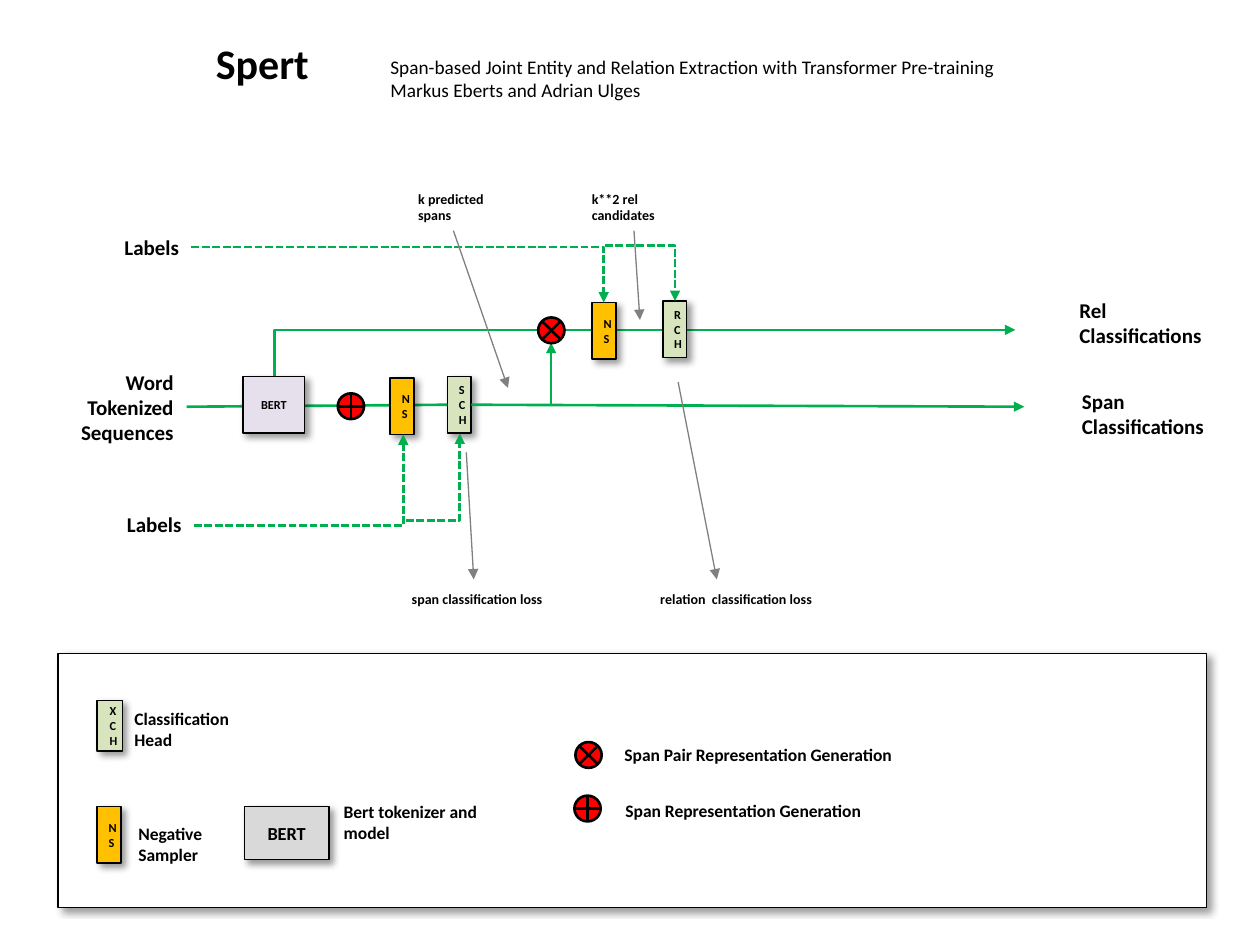
from dataclasses import dataclass

from lxml import etree
from pptx import Presentation
from pptx.dml.color import RGBColor
from pptx.enum.dml import MSO_LINE
from pptx.enum.shapes import MSO_CONNECTOR, MSO_SHAPE
from pptx.enum.text import MSO_ANCHOR, MSO_AUTO_SIZE, PP_ALIGN
from pptx.oxml.ns import qn
from pptx.util import Cm, Pt

RECT = MSO_SHAPE.RECTANGLE
OR = MSO_SHAPE.FLOWCHART_OR
SUMMING = MSO_SHAPE.FLOWCHART_SUMMING_JUNCTION
STRAIGHT, ELBOW = MSO_CONNECTOR.STRAIGHT, MSO_CONNECTOR.ELBOW
DASH = MSO_LINE.SQUARE_DOT
LEFT, CENTER, RIGHT = PP_ALIGN.LEFT, PP_ALIGN.CENTER, PP_ALIGN.RIGHT
MIDDLE = MSO_ANCHOR.MIDDLE
FIT = MSO_AUTO_SIZE.SHAPE_TO_FIT_TEXT
SIDE_LEFT, SIDE_RIGHT = 1, 3


@dataclass(frozen=True)
class Theme:
    font: str = "Calibri"
    black: str = "000000"
    white: str = "FFFFFF"
    flow: str = "00B050"
    note: str = "808080"
    junction: str = "FF0000"
    sampler: str = "FFC000"
    head: str = "D7E4BD"
    encoder: str = "E6E0EC"
    encoder_key: str = "D9D9D9"
    title: float = 24
    label: float = 12
    subtitle: float = 11
    key_box: float = 10.5
    key: float = 10
    small: float = 8
    box: float = 7


T = Theme()
NARROW = (0.48, 1.14)


def apply(obj, values):
    for name, value in values.items():
        setattr(obj, name, value)


def write(tf, text, size, align, bold=True):
    tf.word_wrap = True
    for i, line in enumerate(text.split("\n")):
        p = tf.add_paragraph() if i else tf.paragraphs[0]
        p.alignment = align
        r = p.add_run()
        r.text = line
        apply(r.font, {"name": T.font, "size": Pt(size), "bold": bold})
        r.font.color.rgb = RGBColor.from_string(T.black)


def add_label(s, text, x, y, w, h, size, align=LEFT, bold=True):
    tf = s.shapes.add_textbox(Cm(x), Cm(y), Cm(w), Cm(h)).text_frame
    write(tf, text, size, align, bold)
    tf.auto_size = FIT


def add_filled(s, kind, x, y, w, h, fill, width):
    sp = s.shapes.add_shape(kind, Cm(x), Cm(y), Cm(w), Cm(h))
    sp.shadow.inherit = False
    sp.fill.solid()
    sp.fill.fore_color.rgb = RGBColor.from_string(fill)
    sp.line.color.rgb = RGBColor.from_string(T.black)
    sp.line.width = Pt(width)
    return sp


def add_box(s, text, x, y, w, h, fill, size=T.box, width=1):
    sp = add_filled(s, RECT, x, y, w, h, fill, width)
    effects = sp._element.spPr.find(qn("a:effectLst"))
    shadow = etree.SubElement(effects, qn("a:outerShdw"), blurRad=str(Pt(4)),
                              dist=str(Pt(3)), dir="2700000", algn="tl", rotWithShape="0")
    color = etree.SubElement(shadow, qn("a:srgbClr"), val=T.black)
    etree.SubElement(color, qn("a:alpha"), val="40000")
    if text:
        sp.text_frame.vertical_anchor = MIDDLE
        write(sp.text_frame, text, size, CENTER)
    return sp


def add_junction(s, kind, x, y):
    add_filled(s, kind, x, y, 0.53, 0.52, T.junction, 1.5)


def add_line(s, start, end, color=T.flow, width=1.5, kind=STRAIGHT, dash=None, arrow="tailEnd"):
    c = s.shapes.add_connector(kind, *(Cm(v) for v in (*start, *end)))
    apply(c.line, {"width": Pt(width), "dash_style": dash})
    c.line.color.rgb = RGBColor.from_string(color)
    pr = c._element.spPr
    if kind == ELBOW:
        pr.find(qn("a:prstGeom")).set("prst", "bentConnector2")
    if arrow:
        etree.SubElement(pr.find(qn("a:ln")), qn(f"a:{arrow}"), type="triangle")
    etree.SubElement(pr, qn("a:effectLst"))
    return c


def add_heading(s):
    add_label(s, " Spert", 3.91, 0.64, 18.42, 1.27, T.title)
    add_label(s, "Span-based Joint Entity and Relation Extraction with Transformer Pre-training\n"
                 "Markus Eberts and Adrian Ulges", 7.62, 0.99, 12.7, 1.19, T.subtitle, bold=False)


def add_legend(s):
    add_box(s, "", 1.17, 13.18, 23.16, 5.11, T.white, width=0.75)
    add_box(s, "XCH", 1.96, 14.12, 0.51, 1.02, T.head)
    add_box(s, "NS", 1.96, 16.26, *NARROW, T.sampler)
    add_box(s, "BERT", 4.93, 16.26, 1.7, 1.07, T.encoder_key, T.key_box)
    add_junction(s, SUMMING, 11.6, 14.96)
    add_junction(s, OR, 11.58, 16.04)
    for text, x, y, w, h in (
        ("Classification Head", 2.46, 14.15, 3, 1.12),
        ("Negative Sampler", 2.54, 16.46, 2.34, 1.12),
        ("Bert tokenizer and model", 6.68, 16.03, 3.78, 1.12),
        ("Span Pair Representation Generation", 12.34, 14.88, 6.96, 0.69),
        ("Span Representation Generation", 12.36, 16, 6.96, 0.69),
    ):
        add_label(s, text, x, y, w, h, T.key)


def add_flow(s):
    span_head = add_box(s, "SCH", 9.02, 7.59, *NARROW, T.head)
    add_line(s, (3.76, 8.2), (9.02, 8.16), arrow=None).end_connect(span_head, SIDE_LEFT)
    add_line(s, (9.5, 8.16), (20.65, 8.2)).begin_connect(span_head, SIDE_RIGHT)
    add_line(s, (20.47, 6.65), (5.54, 7.59), kind=ELBOW, arrow="headEnd")
    add_line(s, (11.11, 8.18), (11.11, 6.91))
    add_box(s, "BERT", 4.9, 7.59, 1.24, 1.14, T.encoder)
    add_junction(s, OR, 6.81, 7.93)
    add_junction(s, SUMMING, 10.85, 6.4)
    for text, x, y, fill in (("NS", 7.87, 7.62, T.sampler), ("NS", 11.94, 6.1, T.sampler),
                             ("RCH", 13.36, 6.07, T.head)):
        add_box(s, text, x, y, *NARROW, fill)
    for start, end in (((3.86, 4.98), (12.17, 6.1)), ((12.19, 4.95), (13.61, 6.07)),
                       ((3.91, 10.59), (8.13, 8.76)), ((8.18, 10.49), (9.27, 8.74))):
        add_line(s, start, end, kind=ELBOW, dash=DASH)


def add_flow_labels(s):
    for text, x, y, w, h, align in (
        ("Word Tokenized Sequences", 0.91, 7.32, 2.84, 1.8, RIGHT),
        ("Labels", 2.13, 4.6, 1.73, 0.76, RIGHT),
        ("Labels", 2.11, 10.19, 1.8, 0.76, RIGHT),
        ("Rel Classifications", 21.51, 5.87, 3.1, 1.27, LEFT),
        ("Span Classifications", 21.56, 7.7, 3.1, 1.27, LEFT),
    ):
        add_label(s, text, x, y, w, h, T.label, align)


def add_notes(s):
    for text, x, y, w, h, start, end in (
        ("k predicted spans", 8.18, 3.71, 1.98, 0.94, (9.14, 4.65), (10.24, 7.82)),
        ("k**2 rel candidates", 11.68, 3.71, 2.18, 0.94, (12.78, 4.65), (12.9, 6.45)),
        ("span classification loss", 8.05, 11.79, 3.81, 0.61, (9.4, 9.12), (9.55, 11.68)),
        ("relation  classification loss", 13.06, 11.79, 3.81, 0.61, (13.67, 7.7), (14.45, 11.68)),
    ):
        add_label(s, text, x, y, w, h, T.small)
        add_line(s, start, end, T.note, 0.75)


def main():
    prs = Presentation()
    apply(prs, {"slide_width": Cm(25.4), "slide_height": Cm(19.05)})
    s = prs.slides.add_slide(prs.slide_layouts[6])
    add_heading(s)
    add_legend(s)
    add_flow(s)
    add_flow_labels(s)
    add_notes(s)
    prs.save("out.pptx")


if __name__ == "__main__":
    main()
